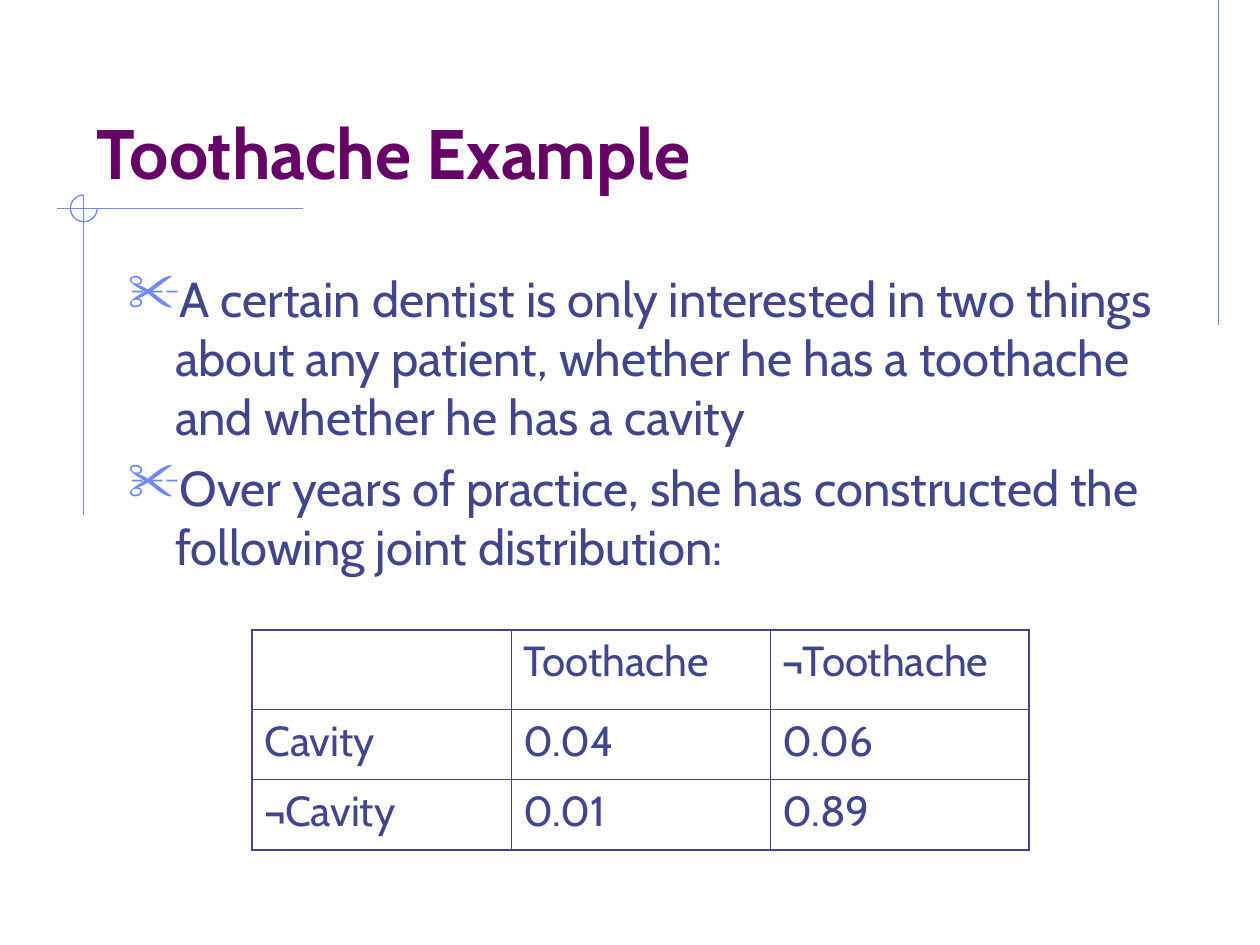
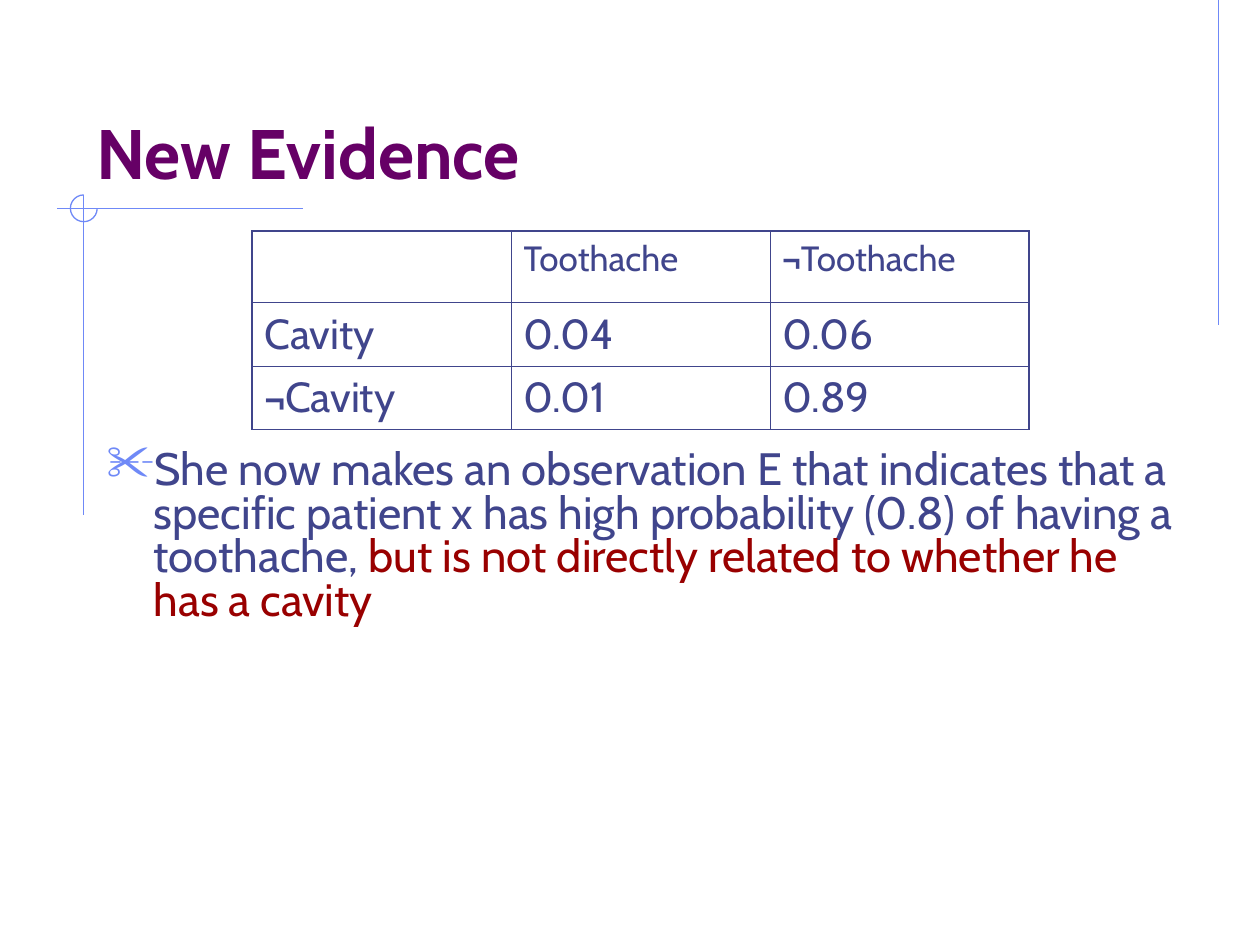
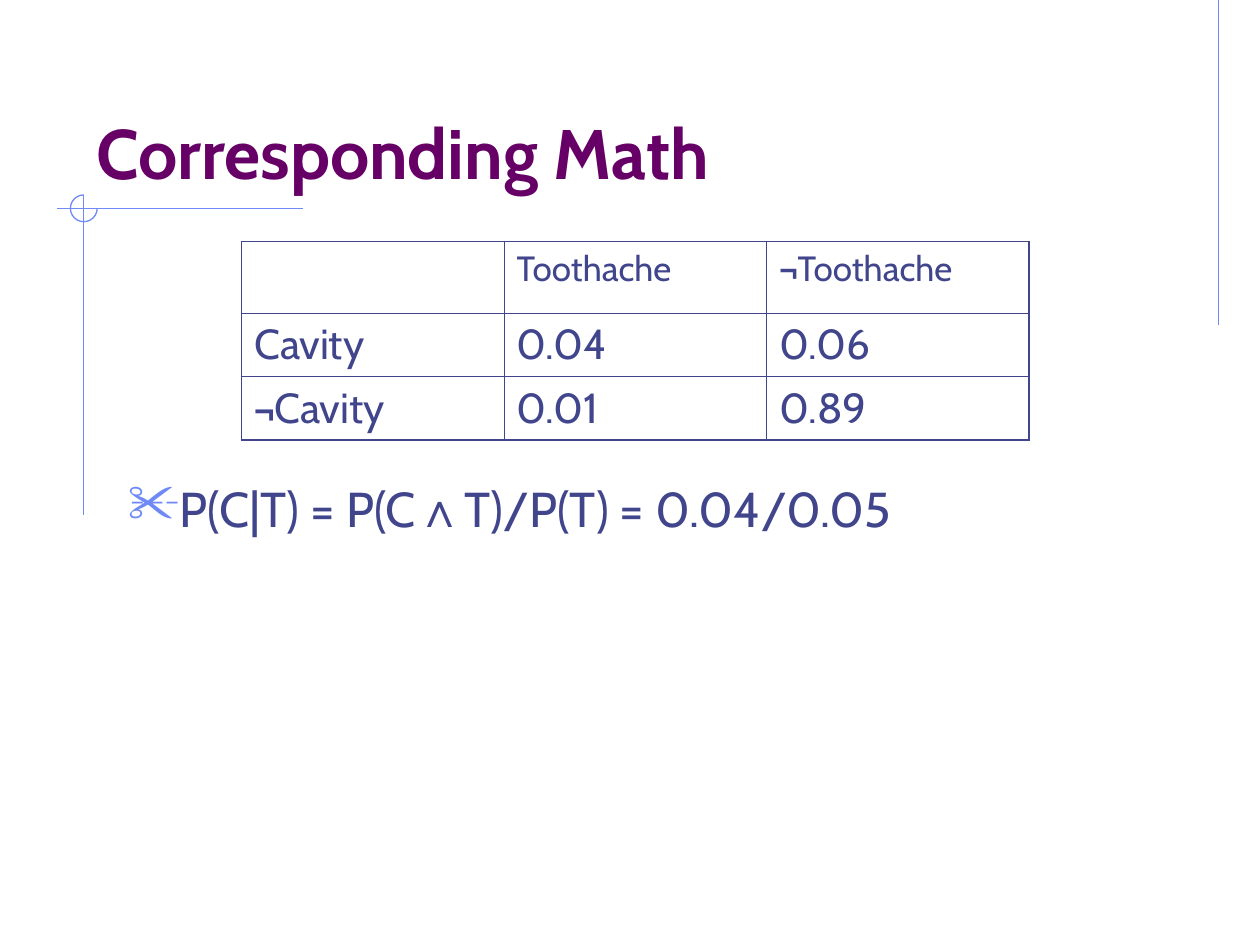
from dataclasses import dataclass

from lxml import etree
from pptx import Presentation
from pptx.dml.color import RGBColor
from pptx.enum.shapes import MSO_CONNECTOR, MSO_SHAPE
from pptx.enum.text import MSO_ANCHOR
from pptx.oxml.ns import qn
from pptx.util import Cm, Pt

LINE = MSO_CONNECTOR.STRAIGHT
ARC = MSO_SHAPE.ARC
TOP, BOTTOM = MSO_ANCHOR.TOP, MSO_ANCHOR.BOTTOM


@dataclass(frozen=True)
class Theme:
    ink: str = "40458C"
    title: str = "660066"
    accent: str = "6F89F7"
    alert: str = "990000"
    font: str = "Cabin"
    symbol: str = "Arial"
    head: float = 40
    body: float = 28
    tight: float = 25.9
    cell: float = 24
    small: float = 20
    tiny: float = 18
    rule: float = 0.75
    thick: float = 1.08
    thin: float = 0.45


T = Theme()
SYM = {"font": T.symbol, "bold": True}


def write(frame, paras, size=T.body, color=T.ink, bold=False, before=0,
          space=None, bullet=False, anchor=TOP):
    """Fill a frame; each paragraph is a list of (text, run format) pairs."""
    frame.word_wrap = True
    frame.vertical_anchor = anchor
    for i, runs in enumerate(paras):
        para = frame.add_paragraph() if i else frame.paragraphs[0]
        para.space_before = Pt(before)
        if space:
            para.line_spacing = space
        if bullet:
            props = para._p.get_or_add_pPr()
            props.set("marL", str(Cm(0.95)))
            props.set("indent", str(-Cm(0.95)))
            tint = etree.SubElement(props, qn("a:buClr"))
            etree.SubElement(tint, qn("a:srgbClr"), val=T.accent)
            etree.SubElement(props, qn("a:buSzPct"), val="110000")
            etree.SubElement(props, qn("a:buChar"), char="✂")
        for text, form in runs:
            run = para.add_run()
            run.text = text
            font = run.font
            font.name = form.get("font", T.font)
            font.size = Pt(form.get("size", size))
            font.bold = form.get("bold", bold)
            font.color.rgb = RGBColor.from_string(form.get("color", color))


# Content: box is left, top, width, height; grid is left, top, width
GRID = [
    ["", "Toothache", "¬Toothache"],
    ["Cavity", "0.04", "0.06"],
    ["¬Cavity", "0.01", "0.89"],
]
PAGES = [
    {
        "title": "Toothache Example",
        "box": (2.33, 5.29, 21.59, 7.41),
        "paras": [
            [("A certain dentist is only interested in two things about any "
              "patient, whether he has a toothache and whether he has a "
              "cavity", {})],
            [("Over years of practice, she has constructed the following "
              "joint distribution:", {})],
        ],
        "form": {},
        "grid": (5.08, 12.7, 15.66),
        "rows": (1.6, 1.42, 1.42),
        "label": (T.cell, T.small),
    },
    {
        "title": "New Evidence",
        "box": (1.9, 8.69, 22.23, 4.04),
        "paras": [
            [("She now makes an observation E that indicates that a specific "
              "patient x has high probability (0.8) of having a toothache, ",
              {}),
             ("but is not directly related to whether he has a cavity",
              {"color": T.alert})],
        ],
        "form": {"size": T.tight, "space": 0.8, "anchor": BOTTOM},
        "grid": (5.08, 4.66, 15.66),
        "rows": (1.44, 1.28, 1.28),
        "label": (T.small, T.tiny),
    },
    {
        "title": "Corresponding Math",
        "box": (2.33, 9.53, 21.59, 7.2),
        "paras": [[("P(C|T) = P(C", {}), ("∧", SYM),
                   ("T)/P(T) = 0.04/0.05", {})]],
        "form": {},
        "grid": (4.87, 4.87, 15.88),
        "rows": (1.44, 1.28, 1.28),
        "label": (T.small, T.tiny),
    },
]

# Shared rules: x1, y1, x2, y2
RULES = [
    (24.56, 0, 24.56, 6.55),
    (6.1, 4.2, 1.14, 4.2),
    (1.69, 3.93, 1.69, 10.39),
]

deck = Presentation()
deck.slide_width, deck.slide_height = Cm(25.4), Cm(19.05)

for page in PAGES:
    slide = deck.slides.add_slide(deck.slide_layouts[6])
    shapes = slide.shapes

    # Rules and the arc where they cross
    for ends in RULES:
        rule = shapes.add_connector(LINE, *map(Cm, ends))
        rule.line.color.rgb = RGBColor.from_string(T.accent)
        rule.line.width = Pt(T.rule)
        etree.SubElement(rule._element.spPr, qn("a:effectLst"))
    arc = shapes.add_shape(ARC, Cm(1.42), Cm(3.93), Cm(0.54), Cm(0.54))
    arc.adjustments[0] = 0
    arc.adjustments[1] = 162  # 270 degrees, clockwise from the right
    arc.shadow.inherit = False
    arc.fill.background()
    arc.line.color.rgb = RGBColor.from_string(T.accent)
    arc.line.width = Pt(T.rule)

    # Title and body
    title = shapes.add_textbox(Cm(1.69), Cm(0.85), Cm(21.59), Cm(3.18))
    write(title.text_frame, [[(page["title"], {})]], size=T.head,
          color=T.title, bold=True, anchor=BOTTOM)
    body = shapes.add_textbox(*map(Cm, page["box"]))
    write(body.text_frame, page["paras"], before=7, bullet=True,
          **page["form"])

    # Joint distribution table
    left, top, width = page["grid"]
    table = shapes.add_table(3, 3, Cm(left), Cm(top), Cm(width),
                             Cm(sum(page["rows"]))).table
    table.first_row = table.horz_banding = False
    for r, words in enumerate(GRID):
        table.rows[r].height = Cm(page["rows"][r])
        size, mark = (T.cell, T.small) if r else page["label"]
        for c, word in enumerate(words):
            cell = table.cell(r, c)
            props = cell._tc.get_or_add_tcPr()
            outer = {"lnL": c == 0, "lnR": c == 2,
                     "lnT": r == 0, "lnB": r == 2}
            for side, edge in outer.items():
                weight = Pt(T.thick if edge else T.thin)
                line = etree.SubElement(props, qn("a:" + side),
                                        w=str(weight))
                fill = etree.SubElement(line, qn("a:solidFill"))
                etree.SubElement(fill, qn("a:srgbClr"), val=T.ink)
            cell.fill.background()
            if word:
                runs = [(word.lstrip("¬"), {})]
                if word.startswith("¬"):
                    runs.insert(0, ("¬", {**SYM, "size": mark}))
                write(cell.text_frame, [runs], size=size, before=size / 4)

deck.save("out.pptx")
